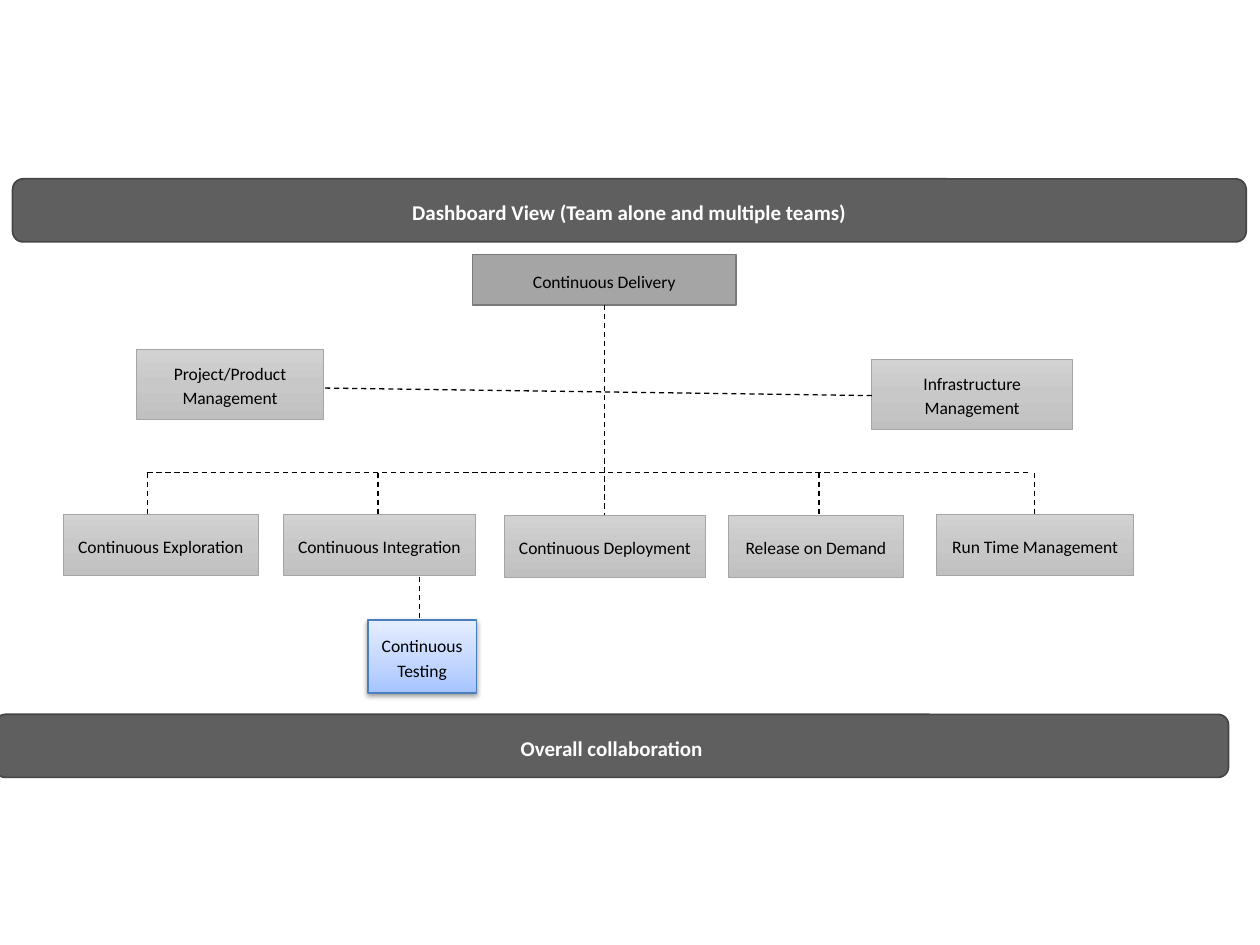
from copy import deepcopy

from lxml.etree import SubElement
from pptx import Presentation
from pptx.dml.color import RGBColor
from pptx.enum.dml import MSO_LINE
from pptx.enum.shapes import MSO_CONNECTOR, MSO_SHAPE
from pptx.enum.text import MSO_ANCHOR, PP_ALIGN
from pptx.oxml.ns import qn
from pptx.util import Inches, Pt

COLORS = {
    "bar": "5F5F5F", "bar edge": "464646",
    "root": "A5A5A5", "root edge": "7A7A7A",
    "box edge": "A5A5A5", "test edge": "4B7EBC",
    "white": "FFFFFF", "black": "000000",
}
GRAY = [(0, "D2D2D2"), (0.5, "C8C8C8"), (1, "C0C0C0")]
BLUE = [(0, "E6EEFF"), (0.65, "BFD4FF"), (1, "A4C4FF")]


class Chart:
    font = "Calibri"

    def __init__(self, slide):
        self.slide = slide

    def color(self, name):
        return RGBColor.from_string(COLORS[name])

    def shape(self, kind, text, spot, edge, width, ink="black", size=10, bold=False):
        shape = self.slide.shapes.add_shape(kind, *map(Inches, spot))
        shape.shadow.inherit = False
        shape.line.color.rgb = self.color(edge)
        shape.line.width = Pt(width)
        frame = shape.text_frame
        frame.word_wrap = True
        frame.vertical_anchor = MSO_ANCHOR.MIDDLE
        frame.text = text
        para = frame.paragraphs[0]
        para.alignment = PP_ALIGN.CENTER
        para.line_spacing = 1.15
        para.space_before, para.space_after = Pt(5), Pt(10)
        font = para.runs[0].font
        font.name, font.size, font.bold = self.font, Pt(size), bold
        font.color.rgb = self.color(ink)
        return shape

    def solid(self, shape, name):
        shape.fill.solid()
        shape.fill.fore_color.rgb = self.color(name)

    def blend(self, shape, stops):
        fill = shape.fill
        fill.gradient()
        fill.gradient_angle = 270
        items = shape.element.spPr.find(qn("a:gradFill")).find(qn("a:gsLst"))
        items.insert(1, deepcopy(items[0]))
        for stop, (place, tone) in zip(fill.gradient_stops, stops):
            stop.position = place
            stop.color.rgb = RGBColor.from_string(tone)

    def bar(self, text, left, top):
        shape = self.shape(MSO_SHAPE.ROUNDED_RECTANGLE, text, (left, top, 9.79, 0.5),
                           "bar edge", 1, "white", 12, True)
        self.solid(shape, "bar")

    def root(self, text, *spot):
        shape = self.shape(MSO_SHAPE.RECTANGLE, text, spot, "root edge", 1)
        self.solid(shape, "root")

    def box(self, text, *spot):
        shape = self.shape(MSO_SHAPE.RECTANGLE, text, spot, "box edge", 0.5)
        self.blend(shape, GRAY)

    def test(self, text, *spot):
        shape = self.shape(MSO_SHAPE.RECTANGLE, text, spot, "test edge", 0.75)
        self.blend(shape, BLUE)
        effect = shape.element.spPr.find(qn("a:effectLst"))
        shade = SubElement(effect, qn("a:outerShdw"), blurRad=str(Pt(3.1)),
                           dist=str(Pt(1.6)), dir="5400000", rotWithShape="0")
        tone = SubElement(shade, qn("a:srgbClr"), val=COLORS["black"])
        SubElement(tone, qn("a:alpha"), val="38000")

    def link(self, *ends):
        line = self.slide.shapes.add_connector(MSO_CONNECTOR.STRAIGHT, *map(Inches, ends))
        line.line.color.rgb = self.color("black")
        line.line.width = Pt(0.75)
        line.line.dash_style = MSO_LINE.DASH
        SubElement(line.element.spPr, qn("a:effectLst"))


def main():
    deck = Presentation()
    deck.slide_width, deck.slide_height = Inches(10), Inches(7.5)
    chart = Chart(deck.slides.add_slide(deck.slide_layouts[6]))

    chart.bar("Dashboard View (Team alone and multiple teams)", 0.1, 1.42)
    chart.root("Continuous Delivery", 3.75, 2.02, 2.09, 0.4)
    chart.box("Project/Product Management", 1.08, 2.77, 1.49, 0.56)
    chart.box("Infrastructure Management", 6.92, 2.85, 1.59, 0.56)
    for text, left, top, width in [
        ("Continuous Exploration", 0.5, 4.08, 1.55),
        ("Continuous Integration", 2.25, 4.08, 1.52),
        ("Continuous Deployment", 4, 4.09, 1.6),
        ("Release on Demand", 5.78, 4.09, 1.39),
        ("Run Time Management", 7.43, 4.08, 1.57),
    ]:
        chart.box(text, left, top, width, 0.49)
    chart.test("Continuous Testing", 2.92, 4.92, 0.86, 0.58)
    chart.bar("Overall collaboration", -0.04, 5.67)

    chart.link(4.8, 2.42, 4.8, 4.09)
    chart.link(2.58, 3.08, 6.92, 3.14)
    chart.link(1.17, 3.75, 8.17, 3.75)
    for left in (8.21, 6.5, 3, 1.17):
        chart.link(left, 3.75, left, 4.08)
    chart.link(3.33, 4.58, 3.33, 4.92)

    deck.save("out.pptx")


if __name__ == "__main__":
    main()
